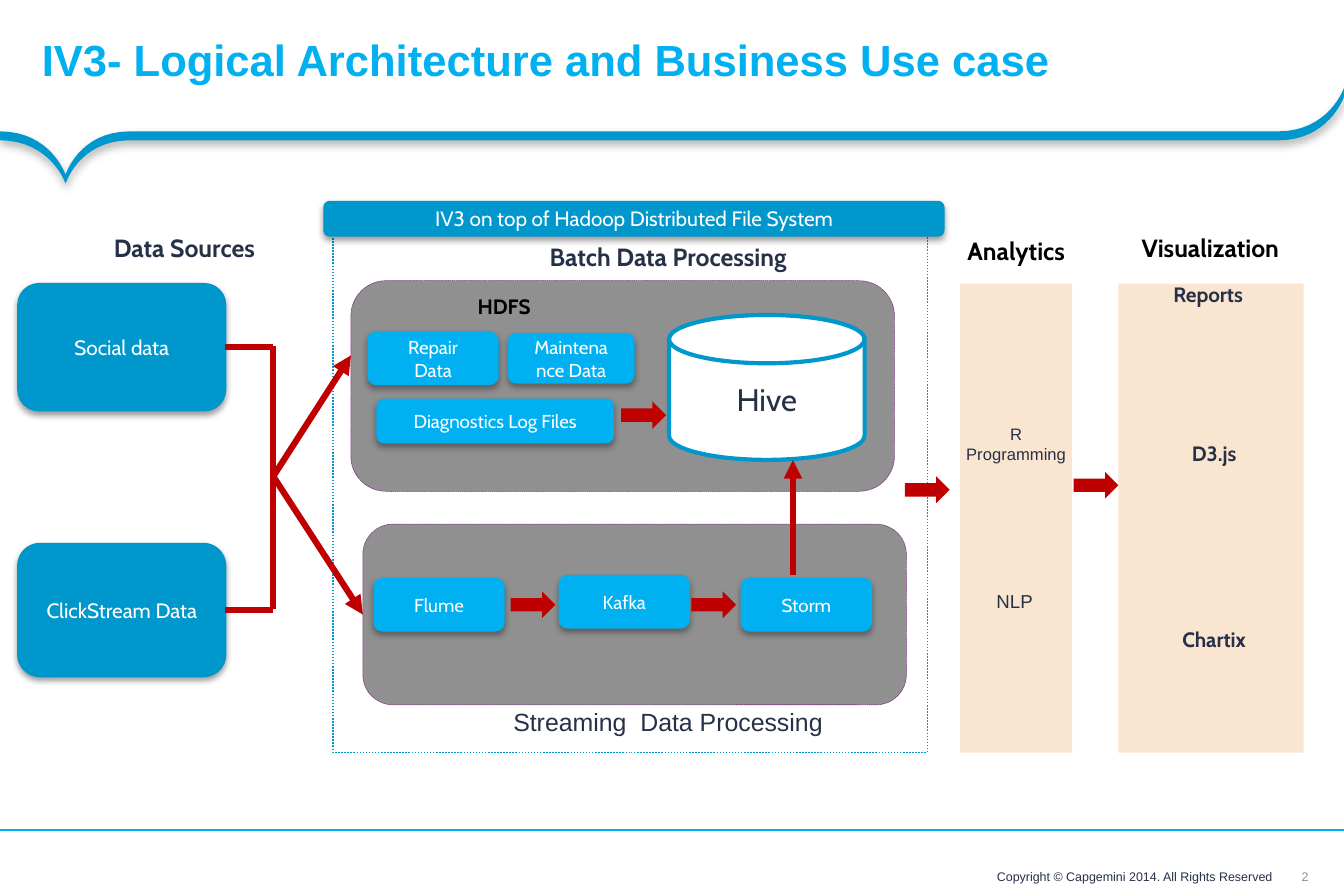
from lxml.etree import SubElement as Sub
from pptx import Presentation
from pptx.dml.color import RGBColor as RGB
from pptx.enum.dml import MSO_LINE as Dash
from pptx.enum.shapes import MSO_CONNECTOR as Conn, MSO_SHAPE as Form
from pptx.enum.text import MSO_ANCHOR as Anchor, PP_ALIGN as Align
from pptx.oxml.ns import qn
from pptx.util import Inches, Pt

SKY = RGB(0x00, 0xB0, 0xF0)
BLUE = RGB(0x00, 0x98, 0xCC)
EDGE = RGB(0x00, 0x95, 0xC8)
NAVY = RGB(0x26, 0x31, 0x47)
RED = RGB(0xC0, 0x00, 0x00)
GRAY = RGB(0x90, 0x90, 0x90)
PLUM = RGB(0x76, 0x2C, 0x7C)
SAND = RGB(0xFA, 0xE5, 0xD1)
STONE = RGB(0x99, 0x8C, 0x85)
WHITE = RGB(0xFF, 0xFF, 0xFF)
BLACK = RGB(0x00, 0x00, 0x00)

WIDE = (0.13, 0.07, 0.13, 0.07)
SLIM = (0.1, 0.05, 0.1, 0.05)
SIDES = ("margin_left", "margin_top", "margin_right", "margin_bottom")


def style(item, vals):
    for key, val in vals.items():
        setattr(item, key, val)


def inner(box, x, y, w, h):
    return box[0] + x, box[1] + y, w, h


def write(shape, text, size, color, face="Cabin", bold=False, pad=SLIM,
          anchor=Anchor.TOP, align=Align.CENTER, wrap=True, gap=1.0):
    frame = shape.text_frame
    style(frame, {"word_wrap": wrap, "vertical_anchor": anchor})
    style(frame, dict(zip(SIDES, map(Inches, pad))))
    frame.text = text
    for para in frame.paragraphs:
        style(para, {"alignment": align, "line_spacing": gap})
        for run in para.runs:
            style(run.font, {"size": Pt(size), "name": face, "bold": bold})
            run.font.color.rgb = color


def label(art, box, text, size, color, **look):
    write(art.add_textbox(*map(Inches, box)), text, size, color, **look)


def paint(shape, fill, line=None, width=0.75, dash=None, shade=None):
    shape.fill.solid()
    shape.fill.fore_color.rgb = fill
    if line is None:
        shape.line.fill.background()
    else:
        shape.line.color.rgb = line
        style(shape.line, {"width": Pt(width), "dash_style": dash})
    shape.shadow.inherit = False
    if shade:
        alpha, blur, dist = shade
        effect = shape.element.spPr.find(qn("a:effectLst"))
        outer = Sub(effect, qn("a:outerShdw"), blurRad=str(Pt(blur)),
                    dist=str(Pt(dist)), dir="5400000", rotWithShape="0")
        tint = Sub(outer, qn("a:srgbClr"), val="000000")
        Sub(tint, qn("a:alpha"), val=str(alpha * 1000))


def draw(art, form, box, fill, **look):
    shape = art.add_shape(form, *map(Inches, box))
    paint(shape, fill, **look)
    return shape


def button(art, box, text):
    shape = draw(art, Form.ROUNDED_RECTANGLE, box, SKY, shade=(35, 3.1, 1.8))
    write(shape, text, 9, WHITE, pad=WIDE, anchor=Anchor.MIDDLE)


def block(art, box, text):
    shape = draw(art, Form.ROUNDED_RECTANGLE, box, BLUE, line=EDGE, shade=(38, 3.1, 1.6))
    write(shape, text, 10, WHITE, pad=WIDE, anchor=Anchor.MIDDLE)
    return shape


def panel(art, box):
    return draw(art, Form.ROUNDED_RECTANGLE, box, GRAY, line=PLUM,
                width=0.25, dash=Dash.SQUARE_DOT)


def arrow(art, box, x, y):
    draw(art, Form.RIGHT_ARROW, inner(box, x, y, 0.3, 0.18), RED)


def link(art, start, end, color=RED, width=3, head=False):
    conn = art.add_connector(Conn.STRAIGHT, *map(Inches, start + end))
    conn.line.color.rgb = color
    conn.line.width = Pt(width)
    props = conn.element.spPr
    if head:
        Sub(props.find(qn("a:ln")), qn("a:tailEnd"), type="triangle")
    Sub(props, qn("a:effectLst"))
    return conn


def curve(*ends):
    for step in range(17):
        t = step / 16
        u = 1 - t
        yield tuple(u**3 * a + 3 * u * u * t * b + 3 * u * t * t * c + t**3 * d
                    for a, b, c, d in zip(*ends))


def header(slide, box):
    x, y, w, h = box
    low, tip = (x + 0.44, y + 1.17), (x + w, y + 0.59)
    base = y + 0.88
    top = [*curve((x, base), (x + 0.34, base), low, low),
           *curve(low, low, (x + 0.53, base), (x + 0.87, base)),
           *curve((x + w - 0.44, base), (x + w - 0.1, base), tip, tip)]
    rim = top + [(a, b + 0.06) for a, b in reversed(top)]
    spots = [(Inches(a), Inches(b)) for a, b in rim]
    pen = slide.shapes.build_freeform(*spots[0])
    pen.add_line_segments(spots[1:], close=True)
    paint(pen.convert_to_shape(), BLUE, shade=(31, 4, 2))
    title = slide.shapes.title
    style(title, dict(zip(("left", "top", "width", "height"), map(Inches, box))))
    write(title, "IV3- Logical Architecture and Business Use case", 21, SKY,
          face="Arial", bold=True, pad=(0.28, 0.03, 0.15, 0.03),
          anchor=Anchor.MIDDLE, align=Align.LEFT, gap=0.85)


def footer(art, box):
    x, y, w, h = box
    link(art, (x, y), (x + w, y), SKY, 1)
    label(art, inner(box, 6.13, 0.23, 2.42, 0.16),
          "Copyright © Capgemini 2014. All Rights Reserved", 6, NAVY, face="Arial",
          pad=(0.03,) * 4, anchor=Anchor.BOTTOM, align=Align.RIGHT, gap=0.9)
    label(art, inner(box, 8.69, 0.26, 0.1, 0.1), "2", 6, STONE, face="Arial",
          pad=(0,) * 4, anchor=Anchor.MIDDLE, wrap=False)


def batch(art, box):
    panel(art, box)
    button(art, inner(box, 0.11, 0.34, 0.88, 0.36), "Repair Data")
    button(art, inner(box, 1.05, 0.35, 0.85, 0.34), "Maintenance Data")
    label(art, inner(box, 0.37, 0.02, 1.31, 0.3), "HDFS", 10, BLACK, bold=True, pad=WIDE)
    button(art, inner(box, 0.17, 0.79, 1.59, 0.3), "Diagnostics Log Files")
    disk = draw(art, Form.FLOWCHART_MAGNETIC_DISK, inner(box, 2.13, 0.23, 1.31, 0.97),
                WHITE, line=BLUE, width=2)
    write(disk, "Hive", 15, NAVY, pad=WIDE, anchor=Anchor.MIDDLE)
    arrow(art, box, 1.81, 0.81)


def stream(art, box):
    pane = panel(art, box)
    for x, y, text in ((0.07, 0.36, "Flume"), (1.31, 0.34, "Kafka"), (2.53, 0.36, "Storm")):
        button(art, inner(box, x, y, 0.88, 0.36), text)
    for x in (0.99, 2.2):
        arrow(art, box, x, 0.45)
    return pane


def core(art, box):
    draw(art, Form.RECTANGLE, box, WHITE, line=BLUE, dash=Dash.ROUND_DOT)
    pane = stream(art, inner(box, 0.2, 1.94, 3.64, 1.21))
    batch(art, inner(box, 0.12, 0.31, 3.64, 1.41))
    label(art, inner(box, 1, 0, 2.49, 0.3), "Batch Data Processing", 12, NAVY, bold=True)
    label(art, inner(box, 0.66, 3.11, 3.17, 0.3), "Streaming  Data Processing", 12, NAVY,
          face="Arial")
    x, y = box[:2]
    link(art, (x + 3.08, y + 2.28), (x + 3.08, y + 1.51), head=True)
    block(art, inner(box, -0.06, -0.22, 4.15, 0.23),
          "IV3 on top of Hadoop Distributed File System")
    return pane


def feeds(art, box, pane):
    label(art, inner(box, 0, 0, 2.23, 0.3), "Data Sources", 12, NAVY, bold=True)
    x, y = box[:2]
    bus = x + 1.71
    for top, tall, text in ((0.39, 0.85, "Social data"), (2.13, 0.89, "ClickStream Data")):
        source = block(art, inner(box, 0, top, 1.39, tall), text)
        mid = y + top + tall / 2
        link(art, (x + 1.39, mid), (bus, mid)).begin_connect(source, 3)
    link(art, (bus, y + 0.81), (bus, y + 2.57))
    fork = (bus, y + 1.68)
    link(art, fork, (x + 2.23, y + 0.87), head=True)
    link(art, fork, (x + 2.31, y + 2.61), head=True).end_connect(pane, 1)


def tools(art, box):
    draw(art, Form.RECTANGLE, box, SAND)
    arrow(art, box, -0.37, 1.29)
    label(art, inner(box, -0.32, -0.39, 1.39, 0.33), "Analytics", 12, BLACK,
          bold=True, pad=WIDE)
    label(art, inner(box, -0.11, 0.89, 0.97, 0.37), "R\nProgramming", 8, NAVY, face="Arial")
    label(art, inner(box, 0, 2, 0.73, 0.25), "NLP", 9, NAVY, face="Arial")


def views(art, box):
    draw(art, Form.RECTANGLE, box, SAND)
    arrow(art, box, -0.3, 1.26)
    label(art, inner(box, -0.08, -0.41, 1.39, 0.33), "Visualization", 12, BLACK,
          bold=True, pad=WIDE)
    for x, y, text in ((-0.1, -0.06, "Reports"), (-0.06, 1, "D3.js"), (-0.06, 2.25, "Chartix")):
        label(art, inner(box, x, y, 1.4, 0.27), text, 10, NAVY, bold=True)


def main():
    deck = Presentation()
    style(deck, {"slide_width": Inches(9), "slide_height": Inches(6)})
    slide = deck.slides.add_slide(deck.slide_layouts[5])
    art = slide.shapes
    header(slide, (0, 0, 9, 0.84))
    footer(art, (0, 5.56, 9, 0.44))
    pane = core(art, (2.23, 1.57, 3.98, 3.47))
    feeds(art, (0.12, 1.51, 2.23, 3.02), pane)
    tools(art, (6.43, 1.9, 0.75, 3.14))
    views(art, (7.49, 1.9, 1.24, 3.14))
    deck.save("out.pptx")


if __name__ == "__main__":
    main()
